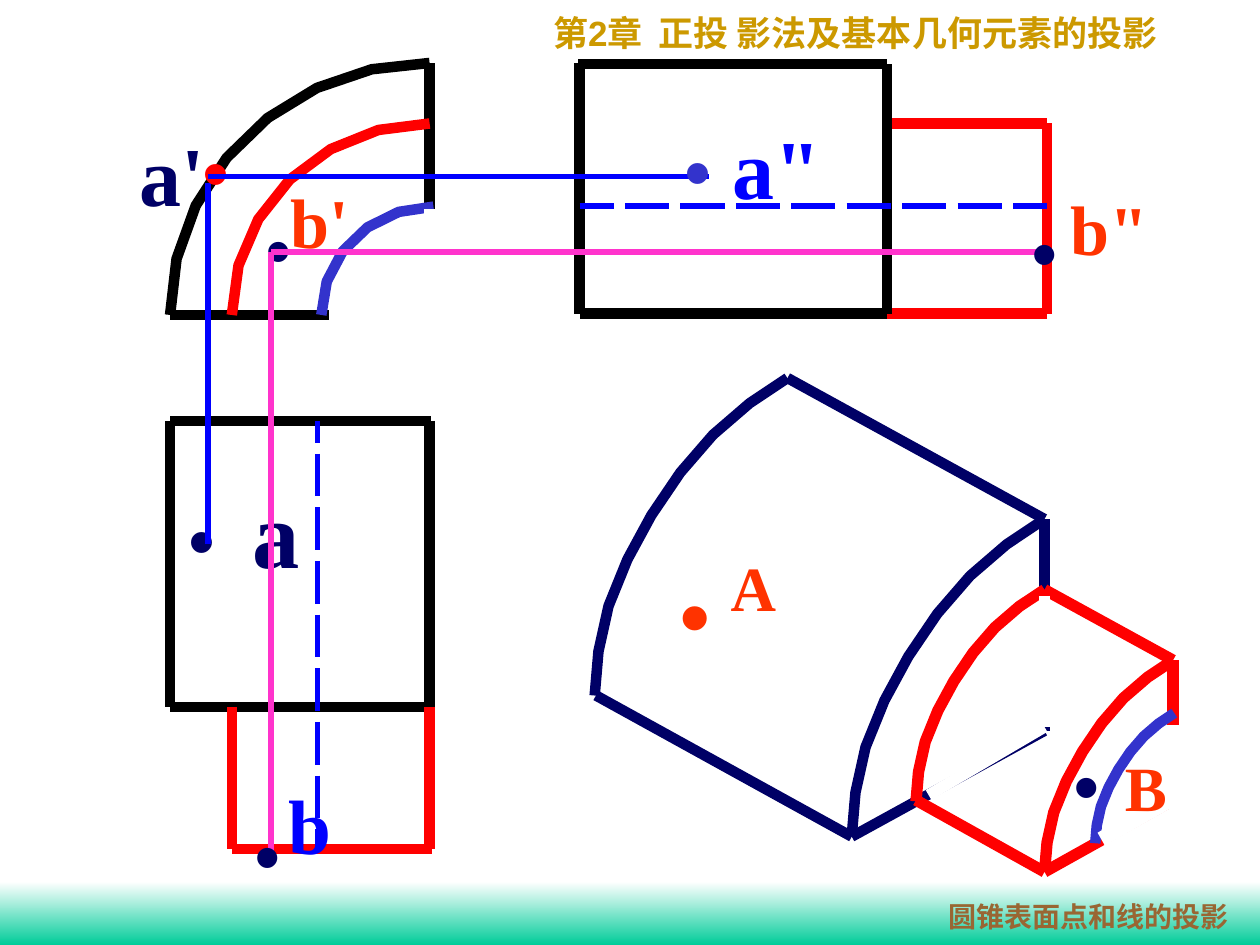
import math
from typing import NamedTuple

import pptx
import pptx.util
import pptx.dml.color
import pptx.enum.shapes
import pptx.enum.text
import pptx.oxml.ns
from lxml import etree

COLS, ROWS = 100, 75
BLACK, WHITE, NAVY = "000000", "FFFFFF", "000066"
RED, BLUE, VIOLET = "FF0000", "0000FF", "3333CC"
PINK, ORANGE = "FF33CC", "FF3300"
SERIF, SANS = "Times New Roman", "Arial"
ALIGN = pptx.enum.text.PP_ALIGN
ANCHOR = pptx.enum.text.MSO_ANCHOR

Point = tuple[float, float]


class Stroke(NamedTuple):
    hue: str
    width: float
    pts: list[Point]


class Run(NamedTuple):
    text: str
    size: float
    hue: str
    font: str = SERIF
    bold: bool = True


class Label(NamedTuple):
    box: tuple[float, float, float, float]
    runs: list[Run]


deck = pptx.Presentation()
deck.slide_width = pptx.util.Inches(10)
deck.slide_height = pptx.util.Inches(7.5)
slide = deck.slides.add_slide(deck.slide_layouts[5])
shapes = slide.shapes


def col(n: float) -> int:
    return round(deck.slide_width * n / COLS)


def row(n: float) -> int:
    return round(deck.slide_height * n / ROWS)


def tint(code: str) -> pptx.dml.color.RGBColor:
    return pptx.dml.color.RGBColor.from_string(code)


def place(shape, box: tuple[float, float, float, float]) -> None:
    x, y, w, h = box
    shape.left, shape.top = col(x), row(y)
    shape.width, shape.height = col(w), row(h)


def write(shape, runs: list[Run], align, anchor, wrap: bool) -> None:
    frame = shape.text_frame
    frame.auto_size = pptx.enum.text.MSO_AUTO_SIZE.NONE
    frame.word_wrap = wrap
    frame.vertical_anchor = anchor
    para = frame.paragraphs[0]
    para.alignment = align
    for part in runs:
        run = para.add_run()
        run.text = part.text
        run.font.name, run.font.size = part.font, pptx.util.Pt(part.size)
        run.font.bold = part.bold
        run.font.color.rgb = tint(part.hue)


def draw(stroke: Stroke) -> None:
    """Two points make a straight line, more make an open outline."""
    pts = [(col(x), row(y)) for x, y in stroke.pts]
    if len(pts) == 2:
        kind = pptx.enum.shapes.MSO_CONNECTOR.STRAIGHT
        shape = shapes.add_connector(kind, *pts[0], *pts[1])
    else:
        form = shapes.build_freeform(*pts[0])
        form.add_line_segments(pts[1:], close=False)
        shape = form.convert_to_shape()
        shape.fill.background()
        shape.shadow.inherit = False
    shape.line.color.rgb = tint(stroke.hue)
    shape.line.width = pptx.util.Pt(stroke.width)
    if len(pts) == 2:
        etree.SubElement(shape._element.spPr, pptx.oxml.ns.qn("a:effectLst"))


def lines(hue: str, width: float, *ends: tuple) -> None:
    for x1, y1, x2, y2 in ends:
        draw(Stroke(hue, width, [(x1, y1), (x2, y2)]))


def arc(x: float, y: float, rx: float, ry: float, n: int) -> list[Point]:
    """Quarter ellipse from its top point, in n equal steps."""
    turns = [math.pi / 2 * k / n for k in range(n + 1)]
    return [(x - rx * math.sin(t), y + ry * (1 - math.cos(t))) for t in turns]


RIM = [(0, 0), (3, 2), (5.9, 4.5), (8.5, 7.5), (10.8, 10.9),
       (12.7, 14.4), (14.2, 18.1), (15, 21.7), (15.3, 25.2)]


def rim(x: float, y: float, scale: float = 1) -> list[Point]:
    """Oblique quarter circle seen in the solid view."""
    return [(x - dx * scale, y + dy * scale) for dx, dy in RIM]


def dashes(low: float, high: float, first: float, step: float, size: float):
    count = math.ceil((high - first) / step)
    for k in range(count):
        start = first + k * step
        yield max(low, start), min(high, start + size)


def label(item: Label) -> None:
    x, y, w, h = item.box
    box = shapes.add_textbox(col(x), row(y), col(w), row(h))
    write(box, item.runs, ALIGN.CENTER, ANCHOR.BOTTOM, False)


def dot(x: float, y: float, size: float, hue: str, bold: bool = True) -> Label:
    wide, high = (4.3, 7.7) if size == 40 else (4.5, 8.4)
    return Label((x, y, wide, high), [Run("•", size, hue, SANS, bold)])


# Chapter title and footer band
title = shapes.title
place(title, (42.9, 0.4, 52.9, 4.4))
GOLD = "CC9900"
write(title, [Run("第", 20, GOLD), Run("2", 20, GOLD, SANS),
              Run("章  正投 影法及基本几何元素的投影", 20, GOLD)],
      ALIGN.LEFT, ANCHOR.MIDDLE, True)
band = shapes.add_shape(pptx.enum.shapes.MSO_SHAPE.RECTANGLE,
                        0, row(70), col(COLS), row(5))
band.shadow.inherit = False
band.line.fill.background()
band.fill.gradient()
band.fill.gradient_angle = 270
for stop, hue, spot in zip(band.fill.gradient_stops, (WHITE, "00CC99"), (0, 1)):
    stop.color.rgb, stop.position = tint(hue), spot

# Solid view: large drum
lines(NAVY, 6, (82.9, 41.2, 82.9, 58), (67.6, 66.4, 82.9, 58))
draw(Stroke(NAVY, 6, rim(82.9, 41.2)))
lines(NAVY, 6, (67.6, 66.4, 47.3, 55.2), (82.9, 41.2, 62.5, 30))
draw(Stroke(NAVY, 6, rim(62.5, 30)))

# Solid view: small drum, with white strokes that clear hidden edges
lines(RED, 6.5, (93.1, 52.4, 93.1, 63.5), (82.9, 69.2, 72.7, 63.5),
      (93.1, 52.4, 82.9, 46.8))
for x, y in ((93.1, 52.4), (82.9, 46.8)):
    draw(Stroke(RED, 6.5, rim(x, y, 2 / 3)))
lines(RED, 6.5, (82.9, 69.2, 93.1, 63.5))
lines(WHITE, 6.5, (82.9, 47.3, 82.9, 57.7), (82.9, 57.7, 73.7, 63.1))
draw(Stroke(VIOLET, 6, rim(93.2, 56.6, 0.41)))
lines(WHITE, 8.5, (93.1, 57.5, 93.1, 64.2), (87.4, 66.6, 93.4, 63.2))

# Front view and top view
lines(BLACK, 6, (13.5, 25, 34.1, 25))
draw(Stroke(BLACK, 6, arc(34.1, 5, 20.6, 20, 7)))
lines(BLACK, 6, (34.1, 5, 34.1, 25), (13.5, 33.4, 13.5, 56.1),
      (13.5, 33.4, 34.2, 33.4), (34.3, 56.1, 13.5, 56.1),
      (34.1, 33.4, 34.1, 56.1))
draw(Stroke(RED, 6, arc(34.1, 9.8, 15.7, 15.2, 6)))
lines(RED, 6, (18.4, 56.1, 18.4, 67.4), (18.4, 67.4, 34.3, 67.4),
      (34.1, 56.1, 34.1, 67.4))

# Side view
lines(RED, 6, (83.1, 9.8, 83.1, 24.9), (83.1, 24.9, 70.4, 24.9),
      (70.4, 9.8, 83.1, 9.8))
lines(BLACK, 6, (46, 5, 46, 24.9), (46, 24.9, 70.4, 24.9),
      (70.4, 24.9, 70.4, 5.1), (70.4, 5.1, 45.9, 5.1))

# Hidden edges and the inner bore
for a, b in dashes(33.4, 67.5, 31.74, 4.26, 3.4):
    lines(BLUE, 3, (25.2, a, 25.2, b))
for a, b in dashes(46, 83.1, 45.2, 4.4, 3.5):
    lines(BLUE, 3, (a, 16.35, b, 16.35))
draw(Stroke(VIOLET, 6, arc(34.4, 16.4, 8.9, 8.6, 5)))
lines(WHITE, 7.75, (34.2, 16.6, 34.2, 25.1), (26.1, 25.1, 34.2, 25.1))

# Point A and its projections
for item in (dot(13.75, 38.4, 44, NAVY, False),
             Label((18.9, 37.1, 6, 10), [Run("a", 54, NAVY)])):
    label(item)
lines(BLUE, 3, (16.5, 43.2, 16.5, 14.5))
for item in (dot(14.9, 9.2, 44, RED, False),
             Label((10.1, 9.2, 7.2, 9), [Run("a'", 48, NAVY)])):
    label(item)
lines(BLUE, 3, (16.5, 14, 56.3, 14))
for item in (Label((53.2, 8.7, 13.1, 9), [Run("• ", 44, VIOLET, SANS, False),
                                          Run('a"', 48, BLUE)]),
             dot(52.95, 44.7, 48, ORANGE),
             Label((57, 43, 5.6, 7), [Run("A", 36, ORANGE)])):
    label(item)

# Point B and its projections
for item in (dot(20, 15.8, 40, NAVY),
             Label((22.1, 13.6, 6.6, 7.7), [Run("b'", 40, ORANGE)]),
             dot(84.1, 58.3, 40, NAVY),
             Label((88.3, 58.9, 5.3, 7), [Run("B", 36, ORANGE)])):
    label(item)
lines(PINK, 3, (21.5, 20, 21.5, 67.5))
for item in (dot(19.1, 63.9, 40, NAVY),
             Label((21.9, 61.1, 5.4, 8.4), [Run("b", 44, BLUE)])):
    label(item)
lines(PINK, 3, (21.5, 20, 83.1, 20))
for item in (dot(80.8, 16, 40, NAVY),
             Label((84, 14.2, 8.1, 7.7), [Run('b"', 40, ORANGE)])):
    label(item)

# Topic in the footer
topic = shapes.add_textbox(col(73.4), row(70.9), col(26), row(3.7))
write(topic, [Run("圆锥表面点和线的投影", 16, "996633")],
      ALIGN.CENTER, ANCHOR.MIDDLE, True)

deck.save("out.pptx")
